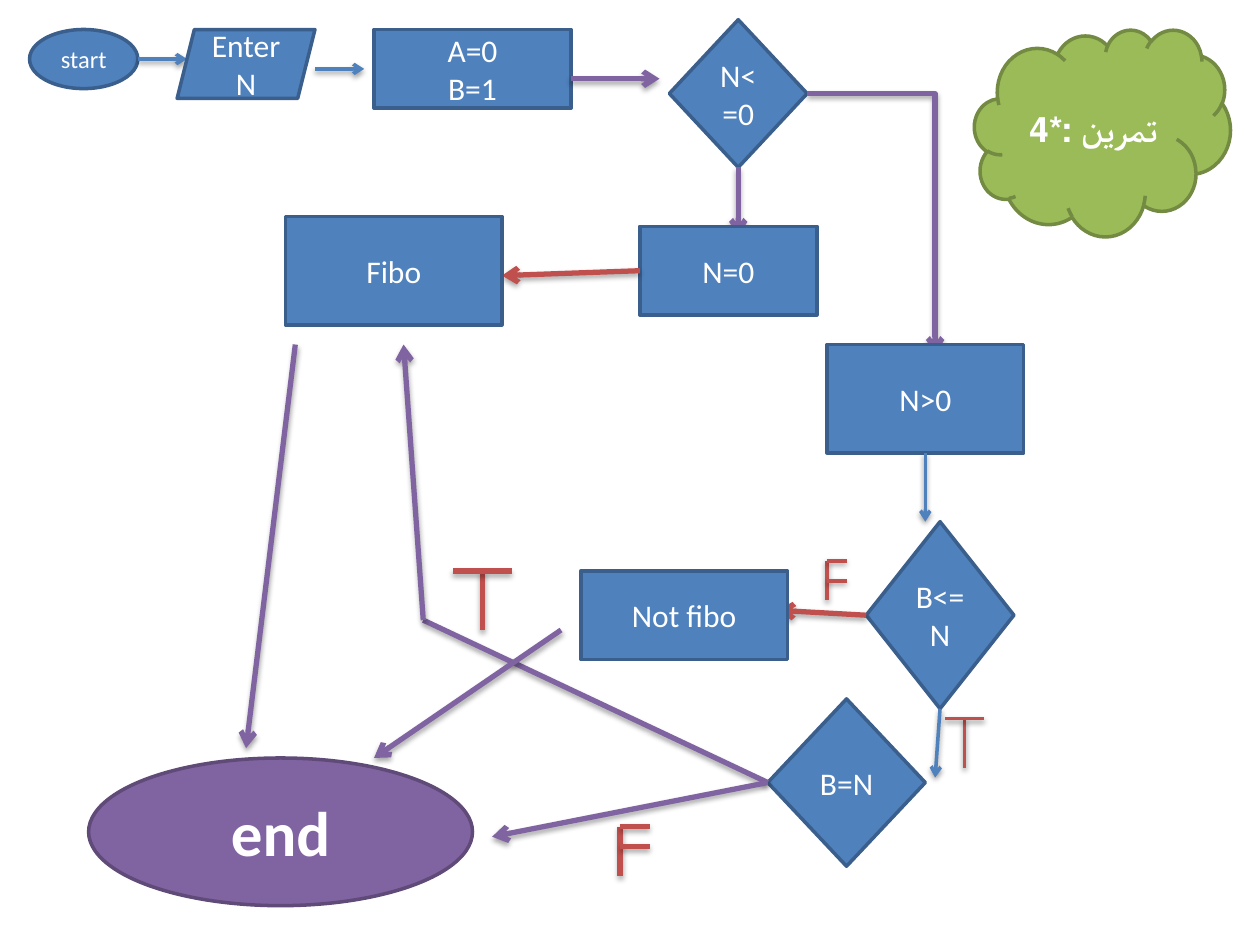
from lxml.etree import SubElement as Sub
from pptx import Presentation
from pptx.dml.color import RGBColor as Rgb
from pptx.enum.shapes import MSO_CONNECTOR as Wire, MSO_SHAPE as Geo
from pptx.enum.text import MSO_ANCHOR as Anchor, PP_ALIGN as Align
from pptx.oxml.ns import qn
from pptx.util import Cm, Pt

BLUE, NAVY = Rgb(0x4F, 0x81, 0xBD), Rgb(0x3A, 0x5F, 0x8C)
PURPLE, PLUM = Rgb(0x80, 0x64, 0xA2), Rgb(0x5F, 0x4A, 0x78)
GREEN, OLIVE = Rgb(0x9B, 0xBB, 0x59), Rgb(0x73, 0x8A, 0x42)
RED, BLACK, WHITE = Rgb(0xC0, 0x50, 0x4D), Rgb(0, 0, 0), Rgb(255, 255, 255)

WIDE, HIGH = 25.4, 19.05
COLS = 128
BOTTOM, LEFT = 2, 1


def grid(n):
    """Length of n steps of the drawing grid, 128 steps to the slide width."""
    return Cm(n * WIDE / COLS)


def add_node(slide, geo, place, lines, fill=BLUE, edge=NAVY, size=18, bold=False):
    node = slide.shapes.add_shape(geo, *map(grid, place))
    node.shadow.inherit = False
    node.fill.solid()
    node.fill.fore_color.rgb = fill
    node.line.color.rgb = edge
    node.line.width = Pt(2)
    frame = node.text_frame
    frame.word_wrap = True
    frame.vertical_anchor = Anchor.MIDDLE
    for i, text in enumerate(lines):
        para = frame.add_paragraph() if i else frame.paragraphs[0]
        para.alignment = Align.CENTER
        para._p.get_or_add_pPr().set("rtl", "1")
        run = para.add_run()
        run.text = text
        font = run.font
        font.name, font.size, font.bold = "Calibri", Pt(size), bold
        font.color.rgb = WHITE
    return node


def add_shadow(line, alpha, dist):
    effects = Sub(line._element.spPr, qn("a:effectLst"))
    outer = Sub(effects, qn("a:outerShdw"), blurRad=str(Pt(3.1)),
                dist=str(Pt(dist)), dir="5400000", rotWithShape="0")
    color = Sub(outer, qn("a:srgbClr"), val=str(BLACK))
    Sub(color, qn("a:alpha"), val=str(alpha * 1000))


def add_line(slide, start, end, color, width, kind=Wire.STRAIGHT):
    line = slide.shapes.add_connector(kind, *map(grid, (*start, *end)))
    line.line.color.rgb = color
    line.line.width = Pt(width)
    add_shadow(line, *((38, 1.6) if width == 2 else (35, 1.8)))
    return line


def add_arrow(slide, start, end, color=PURPLE, width=3, kind=Wire.STRAIGHT):
    line = add_line(slide, start, end, color, width, kind)
    Sub(line.line._get_or_add_ln(), qn("a:tailEnd"), type="arrow")
    return line


def add_link(slide, node, side, end, color=PURPLE, width=3):
    """Arrow that is joined to one side of a node."""
    add_arrow(slide, end, end, color, width).begin_connect(node, side)


def add_corner(slide, start, end):
    """Arrow that runs right and then down."""
    line = add_arrow(slide, start, end, kind=Wire.ELBOW)
    line._element.spPr.find(qn("a:prstGeom")).set("prst", "bentConnector2")


def add_sign(slide, x, top, tall, left, right, bars, width):
    """Letter of one stem and some bars, which lie 2 steps apart."""
    add_line(slide, (x, top), (x, top + tall), RED, width)
    for i in range(bars):
        y = top + 2 * i
        add_line(slide, (x - left, y), (x + right, y), RED, width)


def add_true(slide, x, top, tall, half, width):
    add_sign(slide, x, top, tall, half, half, 1, width)


def add_false(slide, x, top, tall, arm, width):
    add_sign(slide, x, top, tall, 0, arm, 2, width)


def draw_setup(slide):
    add_node(slide, Geo.OVAL, (3, 3, 11, 6), ["start"], size=14)
    add_arrow(slide, (14, 6), (19, 6), BLUE, 2)
    add_node(slide, Geo.PARALLELOGRAM, (18, 3, 14, 7), ["Enter N"])
    add_arrow(slide, (32, 7), (37, 7), BLUE, 2)
    add_node(slide, Geo.RECTANGLE, (38, 3, 20, 8), ["A=0", "B=1"])
    add_arrow(slide, (58, 8), (67, 8))


def draw_tests(slide):
    test = add_node(slide, Geo.DIAMOND, (68, 2, 14, 15), ["N<=0"])
    add_link(slide, test, BOTTOM, (75, 24))
    zero = add_node(slide, Geo.RECTANGLE, (65, 23, 18, 9), ["N=0"])
    add_link(slide, zero, LEFT, (51, 28), RED)
    add_node(slide, Geo.RECTANGLE, (29, 22, 22, 11), ["Fibo"])
    add_corner(slide, (82, 9.5), (95, 36))
    above = add_node(slide, Geo.RECTANGLE, (84, 35, 20, 11), ["N>0"])
    add_link(slide, above, BOTTOM, (94, 53), BLUE, 2)


def draw_loop(slide):
    limit = add_node(slide, Geo.DIAMOND, (88, 53, 15, 19), ["B<=N"])
    add_link(slide, limit, LEFT, (79, 62), RED)
    add_false(slide, 84, 57, 4, 2, 2)
    add_node(slide, Geo.RECTANGLE, (59, 58, 21, 9), ["Not fibo"])
    add_link(slide, limit, BOTTOM, (95, 79), BLUE, 2)
    add_true(slide, 98, 73, 5, 2, 2)
    match = add_node(slide, Geo.DIAMOND, (78, 71, 16, 17), ["B=N"])
    bend = (43, 63)
    add_line(slide, bend, bend, PURPLE, 3).begin_connect(match, LEFT)
    add_arrow(slide, bend, (41, 35))
    add_true(slide, 49, 58, 6, 3, 3)
    add_link(slide, match, LEFT, (50, 85))
    add_false(slide, 63, 84, 5, 3, 3)


def draw_end(slide):
    add_node(slide, Geo.OVAL, (9, 77, 39, 15), ["end"], PURPLE, PLUM, 36, True)
    add_arrow(slide, (30, 35), (25, 76))
    add_arrow(slide, (57, 64), (38, 77))


def main():
    deck = Presentation()
    deck.slide_width, deck.slide_height = Cm(WIDE), Cm(HIGH)
    slide = deck.slides.add_slide(deck.slide_layouts[6])
    draw_setup(slide)
    draw_tests(slide)
    draw_loop(slide)
    draw_end(slide)
    add_node(slide, Geo.CLOUD, (99, 3, 26, 21), ["تمرین :*4"],
             GREEN, OLIVE, 20, True)
    deck.save("out.pptx")


if __name__ == "__main__":
    main()
